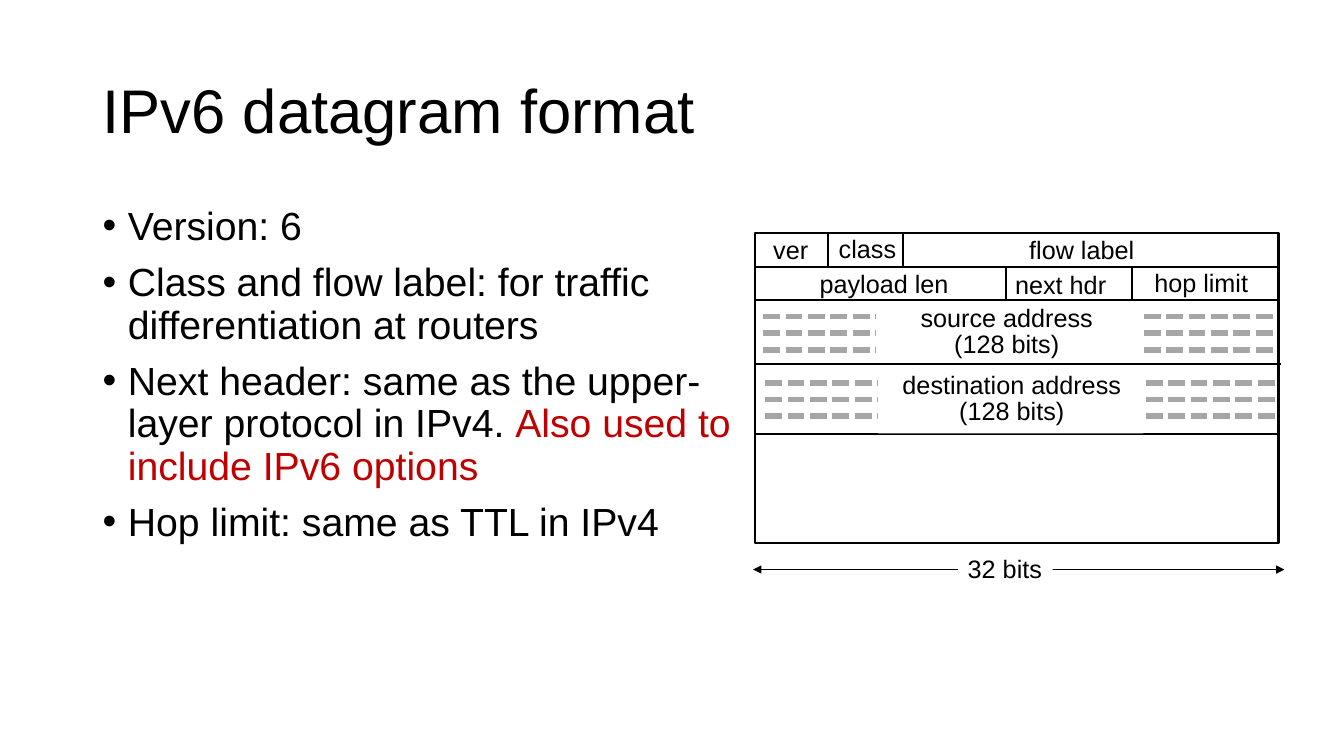
from lxml import etree
from pptx import Presentation
from pptx.dml.color import RGBColor
from pptx.enum.dml import MSO_LINE
from pptx.enum.shapes import MSO_CONNECTOR, MSO_SHAPE
from pptx.enum.text import MSO_ANCHOR, PP_ALIGN
from pptx.oxml.ns import qn
from pptx.util import Inches, Pt

LEFT, CENTER = PP_ALIGN.LEFT, PP_ALIGN.CENTER
TOP, MIDDLE = MSO_ANCHOR.TOP, MSO_ANCHOR.MIDDLE
RECT, STRAIGHT = MSO_SHAPE.RECTANGLE, MSO_CONNECTOR.STRAIGHT
DOTTED = MSO_LINE.SQUARE_DOT
BLACK = RGBColor(0x00, 0x00, 0x00)
WHITE = RGBColor(0xFF, 0xFF, 0xFF)
RED = RGBColor(0xC0, 0x00, 0x00)
GRAY = RGBColor(0xA6, 0xA6, 0xA6)

# Content: paragraphs are lists of (text, colour) runs
TITLE = "IPv6 datagram format"
BULLETS = [
    [("Version: 6", BLACK)],
    [("Class and flow label: for traffic differentiation at routers", BLACK)],
    [("Next header: same as the upper-layer protocol in IPv4. ", BLACK),
     ("Also used to include IPv6 options", RED)],
    [("Hop limit: same as TTL in IPv4", BLACK)],
]
# Header fields: text, left, top, width
FIELDS = [
    ("ver", 7.57, 2.28, 0.55), ("class", 8.22, 2.27, 0.78),
    ("flow label", 10.11, 2.28, 1.24), ("payload len", 8.03, 2.61, 1.48),
    ("next hdr", 9.97, 2.62, 1.1), ("hop limit", 11.35, 2.6, 1.13),
]
# Address blocks: name, left of dots, top, height of the clear area, text box
ADDRESSES = [
    ("source address", 7.57, 3.0, 0.48, 9.03, 1.91),
    ("destination address", 7.59, 3.66, 0.61, 8.85, 2.37),
]
WIDTH_LABEL = "32 bits"

# Datagram grid in inches
BOX = (7.49, 2.31, 5.19, 3.08)
ROW_LINES = [(7.5, 12.67, 2.65), (7.49, 12.69, 2.98),
             (7.5, 12.71, 3.61), (7.48, 12.69, 4.31)]
COLUMN_LINES = [(8.21, 2.32, 2.64), (8.96, 2.32, 2.64),
                (9.98, 2.64, 2.97), (11.23, 2.65, 2.97)]
DOT_ROWS, DOT_PITCH, DOT_LENGTH = 3, 0.165, 5.1

prs = Presentation()
prs.slide_width, prs.slide_height = Inches(13.33), Inches(7.5)
s = prs.slides.add_slide(prs.slide_layouts[6])


def inches(values):
    return [Inches(v) for v in values]


def add_text(text, at, size=18, align=LEFT, anchor=TOP, spacing=None,
             before=0, wrap=False, bullet=False):
    """Text is a string with line breaks, or a list of run lists."""
    if isinstance(text, str):
        text = [[(line, BLACK)] for line in text.split("\n")]
    tf = s.shapes.add_textbox(*inches(at)).text_frame
    tf.word_wrap, tf.vertical_anchor = wrap, anchor
    for i, runs in enumerate(text):
        p = tf.add_paragraph() if i else tf.paragraphs[0]
        p.alignment, p.line_spacing, p.space_before = align, spacing, Pt(before)
        if bullet:
            pPr = p._p.get_or_add_pPr()
            pPr.set("marL", str(Inches(0.25)))
            pPr.set("indent", str(-Inches(0.25)))
            etree.SubElement(pPr, qn("a:buFont")).set("typeface", "Arial")
            etree.SubElement(pPr, qn("a:buChar")).set("char", "•")
        for words, color in runs:
            r = p.add_run()
            r.text = words
            r.font.name, r.font.size = "Arial", Pt(size)
            r.font.color.rgb = color


def add_rect(at, outline=None):
    sp = s.shapes.add_shape(RECT, *inches(at))
    sp.shadow.inherit = False
    sp.fill.solid()
    sp.fill.fore_color.rgb = WHITE
    if outline:
        sp.line.color.rgb, sp.line.width = BLACK, Pt(outline)
    else:
        sp.line.fill.background()


def add_line(x1, y1, x2, y2, color=BLACK, width=1.5, dash=None, arrows=False):
    c = s.shapes.add_connector(STRAIGHT, *inches((x1, y1, x2, y2)))
    c.line.color.rgb, c.line.width = color, Pt(width)
    if dash:
        c.line.dash_style = dash
    if arrows:
        ln = c.line._get_or_add_ln()
        for end in ("a:headEnd", "a:tailEnd"):
            etree.SubElement(ln, qn(end)).set("type", "triangle")
    etree.SubElement(c._element.spPr, qn("a:effectLst"))


# Title and bullets
add_text(TITLE, (0.92, 0.4, 11.5, 1.45), size=44, anchor=MIDDLE,
         spacing=0.9, wrap=True)
add_text(BULLETS, (0.92, 2, 6.48, 4.76), size=28, spacing=0.9, before=10,
         wrap=True, bullet=True)

# Datagram frame and its dividers
add_rect(BOX, outline=1.5)
for x1, x2, y in ROW_LINES:
    add_line(x1, y, x2, y)
for x, y1, y2 in COLUMN_LINES:
    add_line(x, y1, x, y2)
for name, left, top, width in FIELDS:
    add_text(name, (left, top, width, 0.4))

# Address blocks: dotted rows, cleared in the middle for the name
for name, left, top, clear, text_left, text_width in ADDRESSES:
    for row in range(DOT_ROWS):
        y = top + 0.14 + row * DOT_PITCH
        add_line(left, y, left + DOT_LENGTH, y, GRAY, 4, DOTTED)
    add_rect((left + 1.12, top + 0.03, 2.63, clear))
    add_text(name + "\n(128 bits)", (text_left, top, text_width, 0.61),
             align=CENTER, spacing=0.85)

# Width arrow
add_line(7.47, 5.65, 12.74, 5.65, width=0.75, arrows=True)
add_rect((9.5, 5.44, 0.94, 0.4))
add_text(WIDTH_LABEL, (9.5, 5.44, 0.94, 0.4))

prs.save("out.pptx")
